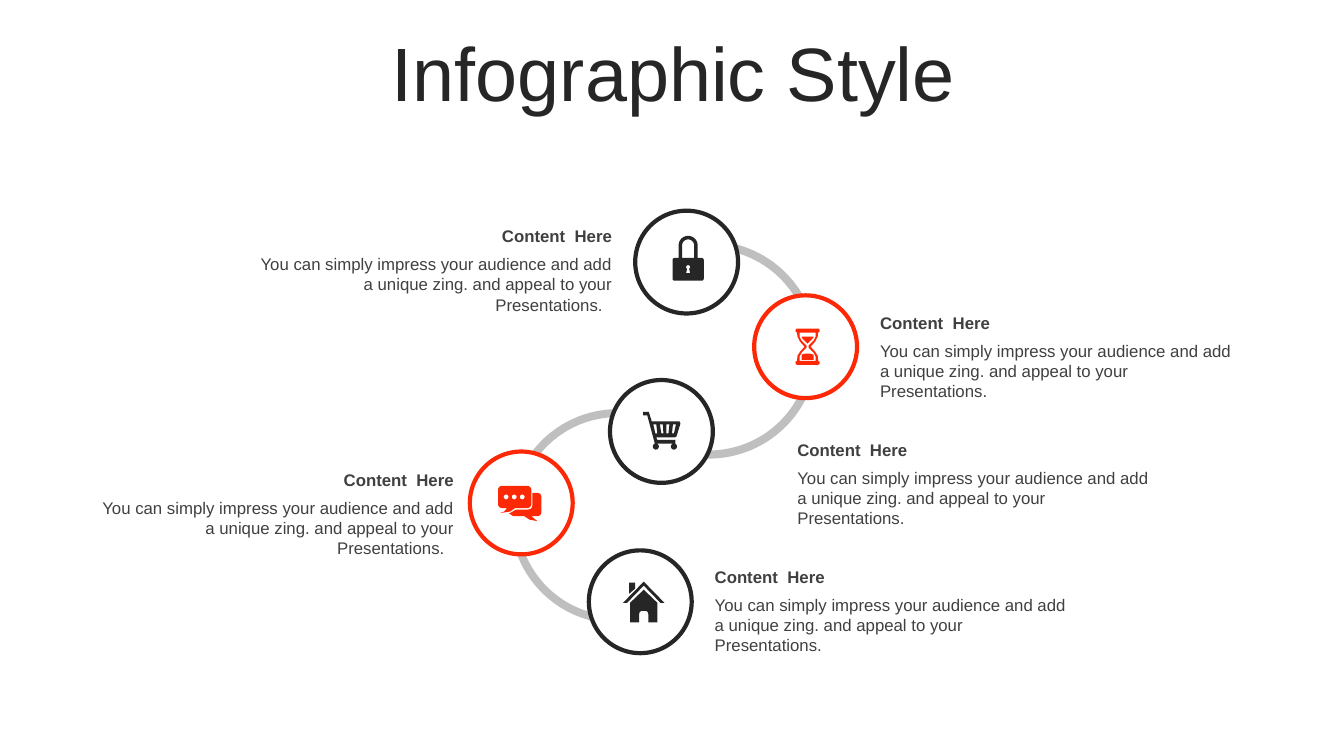
"""Build a slide with five icon badges joined by two arcs."""
from dataclasses import dataclass
from math import cos, radians, sin

from pptx import Presentation
from pptx.dml.color import RGBColor
from pptx.enum.shapes import MSO_SHAPE
from pptx.enum.text import MSO_ANCHOR, PP_ALIGN
from pptx.util import Inches, Pt

OVAL, BLOCK_ARC = MSO_SHAPE.OVAL, MSO_SHAPE.BLOCK_ARC
LEFT, CENTER, RIGHT = PP_ALIGN.LEFT, PP_ALIGN.CENTER, PP_ALIGN.RIGHT
TOP, MIDDLE = MSO_ANCHOR.TOP, MSO_ANCHOR.MIDDLE


@dataclass(frozen=True)
class Theme:
    """Colours, font and type sizes of the slide."""
    dark: RGBColor = RGBColor.from_string("262626")
    accent: RGBColor = RGBColor.from_string("FD2906")
    text: RGBColor = RGBColor.from_string("404040")
    arc: RGBColor = RGBColor.from_string("BFBFBF")
    white: RGBColor = RGBColor.from_string("FFFFFF")
    font: str = "Arial"
    title_size: Pt = Pt(54)
    text_size: Pt = Pt(12)
    ring_width: Pt = Pt(3)


THEME = Theme()
BADGE_SIZE = 1.02
TEXT_WIDTH = 3.76
HEADING = "Content  Here"
BODY = ("You can simply impress your audience and add a unique zing. "
        "and appeal to your Presentations.")


def curve(x, y, radius, start, end):
    """Return points along a circle, with angles in degrees clockwise."""
    steps = max(4, int(abs(end - start) / 15))
    angles = [radians(start + (end - start) * i / steps) for i in range(steps + 1)]
    return [(x + radius * cos(a), y + radius * sin(a)) for a in angles]


def disc(x, y, radius):
    """Return the outline of a circle."""
    return curve(x, y, radius, 0, 360)


def rounded(left, top, width, height, radius):
    """Return the outline of a rectangle with round corners."""
    near_x, far_x = left + radius, left + width - radius
    near_y, far_y = top + radius, top + height - radius
    return (curve(near_x, near_y, radius, 180, 270) + curve(far_x, near_y, radius, 270, 360)
            + curve(far_x, far_y, radius, 0, 90) + curve(near_x, far_y, radius, 90, 180))


def symmetric(points, width):
    """Close a left half with its mirrored right half."""
    return points + [(width - x, y) for x, y in reversed(points)]


def lock_icon():
    """Return the outlines of a padlock."""
    shackle = ([(6, 22)] + curve(15.5, 9.5, 9.5, 180, 360) + [(25, 22), (21.5, 22)]
               + curve(15.5, 9.5, 6, 360, 180) + [(9.5, 22)])
    keyhole = curve(15.5, 31, 2, 120, 420) + [(17.5, 37), (13.5, 37)]
    return [rounded(0, 22, 31, 22.5, 2), shackle, keyhole]


def hourglass_icon():
    """Return the outlines of an hourglass."""
    halves = [
        [(1.5, 4), (2, 8), (4.5, 13), (9, 18), (4.5, 23), (2, 27), (1.5, 32)],
        [(4, 4), (4, 8), (6, 12), (11, 17), (11, 19), (6, 24), (4, 28), (4, 32)],
        [(6, 8), (7, 10), (12, 15)],
        [(9, 25), (6, 26), (6, 31)],
    ]
    caps = [rounded(0, top, 24, 4, 2) for top in (0, 32)]
    return caps + [symmetric(half, 24) for half in halves]


def cart_icon():
    """Return the outlines of a shopping cart."""
    frame = [(0, 0.5), (5.5, 0.5), (8.5, 10), (36, 10), (37, 12), (33, 25), (31, 26),
             (13, 26), (14, 28.5), (32, 28.5), (32, 32), (11.5, 32), (4, 4), (0, 4)]
    slots = [[(a, 13), (b, 22), (b + 2, 22), (a + 3, 13)]
             for a, b in ((10, 12), (16.5, 18), (23, 23), (29.5, 28.5))]
    return [frame, disc(12.5, 35, 3), disc(30.5, 35, 3)] + slots


def chat_icon():
    """Return the outlines of two speech bubbles."""
    front = (curve(4, 4, 4, 180, 270) + curve(29, 4, 4, 270, 360) + curve(29, 18, 4, 0, 90)
             + [(17, 22), (12, 25.5), (2, 27), (6, 25.5), (9, 22)]
             + curve(4, 18, 4, 90, 180))
    back = ([(34, 7)] + curve(39, 11, 4, 270, 360) + curve(39, 26, 4, 0, 90)
            + [(33, 30), (39, 35), (31, 33.5), (26, 30), (15, 30), (11, 27.5), (18, 23.5)]
            + curve(30, 19.5, 4, 90, 0))
    return [front, back] + [disc(x, 11, 2.4) for x in (8, 16, 24)]


def house_icon():
    """Return the outlines of a house."""
    roof = [(20.5, 0), (41, 21), (37, 21), (20.5, 4), (4, 21), (0, 21)]
    chimney = [(6, 1), (12, 1), (12, 7), (6, 12)]
    wall = ([(20.5, 8), (34, 21), (34, 40.5), (25, 40.5)] + curve(22, 32, 3, 0, -90)
            + curve(19, 32, 3, 270, 180) + [(16, 40.5), (7, 40.5), (7, 21)])
    return [roof, chimney, wall]


def paint(shape, fill, line=None):
    """Give a shape a plain fill and an optional ring."""
    shape.shadow.inherit = False
    shape.fill.solid()
    shape.fill.fore_color.rgb = fill
    if line is None:
        shape.line.fill.background()
    else:
        shape.line.color.rgb = line
        shape.line.width = THEME.ring_width


def add_arc(page, left, top, size, flipped):
    """Add one grey arc, mirrored when flipped."""
    arc = page.shapes.add_shape(BLOCK_ARC, *map(Inches, (left, top, size, size)))
    for index, value in enumerate((155.887, 66.705, 0.037)):
        arc.adjustments[index] = value
    if flipped:
        arc.element.spPr.xfrm.set("flipH", "1")
    paint(arc, THEME.arc)


def add_badge(page, left, top, color):
    """Add a white circle with a coloured ring."""
    badge = page.shapes.add_shape(OVAL, *map(Inches, (left, top, BADGE_SIZE, BADGE_SIZE)))
    paint(badge, THEME.white, color)


def add_icon(page, left, top, outlines, color):
    """Draw outlines given in hundredths of an inch as one shape."""
    placed = [[(Inches(left + x / 100), Inches(top + y / 100)) for x, y in outline]
              for outline in outlines]
    builder = page.shapes.build_freeform(*placed[0][0])
    for index, points in enumerate(placed):
        if index:
            builder.move_to(*points[0])
        builder.add_line_segments(points[1:], close=True)
    paint(builder.convert_to_shape(), color)


def add_text(page, frame, text, formats, align=LEFT, anchor=TOP, spacing=None):
    """Add a wrapped text box with one paragraph."""
    box = page.shapes.add_textbox(*map(Inches, frame))
    box.text_frame.word_wrap = True
    box.text_frame.vertical_anchor = anchor
    para = box.text_frame.paragraphs[0]
    para.alignment = align
    para.line_spacing = spacing
    span = para.add_run()
    span.text = text
    span.font.name = THEME.font
    span.font.color.rgb = formats["color"]
    for name in ("size", "bold"):
        setattr(span.font, name, formats[name])


def add_caption(page, left, top, align):
    """Add a bold heading with its body text below."""
    formats = {"color": THEME.text, "size": THEME.text_size, "bold": True}
    body = BODY + "  " if align == RIGHT else BODY
    add_text(page, (left, top, TEXT_WIDTH, 0.3), HEADING, formats, align, MIDDLE)
    add_text(page, (left, top + 0.28, TEXT_WIDTH, 0.5), body,
             {**formats, "bold": False}, align)


def main():
    """Build and save the slide."""
    deck = Presentation()
    deck.slide_width, deck.slide_height = Inches(13.33), Inches(7.5)
    page = deck.slides.add_slide(deck.slide_layouts[6])
    add_text(page, (0.35, 0.37, 12.66, 0.79), "Infographic Style",
             {"color": THEME.dark, "size": THEME.title_size, "bold": False},
             CENTER, MIDDLE, 0.9)
    add_arc(page, 5.06, 4.06, 2.13, True)
    add_arc(page, 5.95, 2.39, 2.16, False)
    steps = [
        ((6.3, 2.09), (6.67, 2.34), lock_icon, THEME.dark, (2.41, 2.19), RIGHT),
        ((7.48, 2.93), (7.89, 3.26), hourglass_icon, THEME.accent, (8.63, 3.05), LEFT),
        ((6.05, 3.77), (6.38, 4.08), cart_icon, THEME.dark, (7.81, 4.31), LEFT),
        ((4.66, 4.48), (4.94, 4.82), chat_icon, THEME.accent, (0.84, 4.61), RIGHT),
        ((5.84, 5.46), (6.18, 5.77), house_icon, THEME.dark, (6.99, 5.57), LEFT),
    ]
    for badge, corner, icon, color, caption, align in steps:
        add_badge(page, *badge, color)
        add_icon(page, *corner, icon(), color)
        add_caption(page, *caption, align)
    deck.save("out.pptx")


if __name__ == "__main__":
    main()
